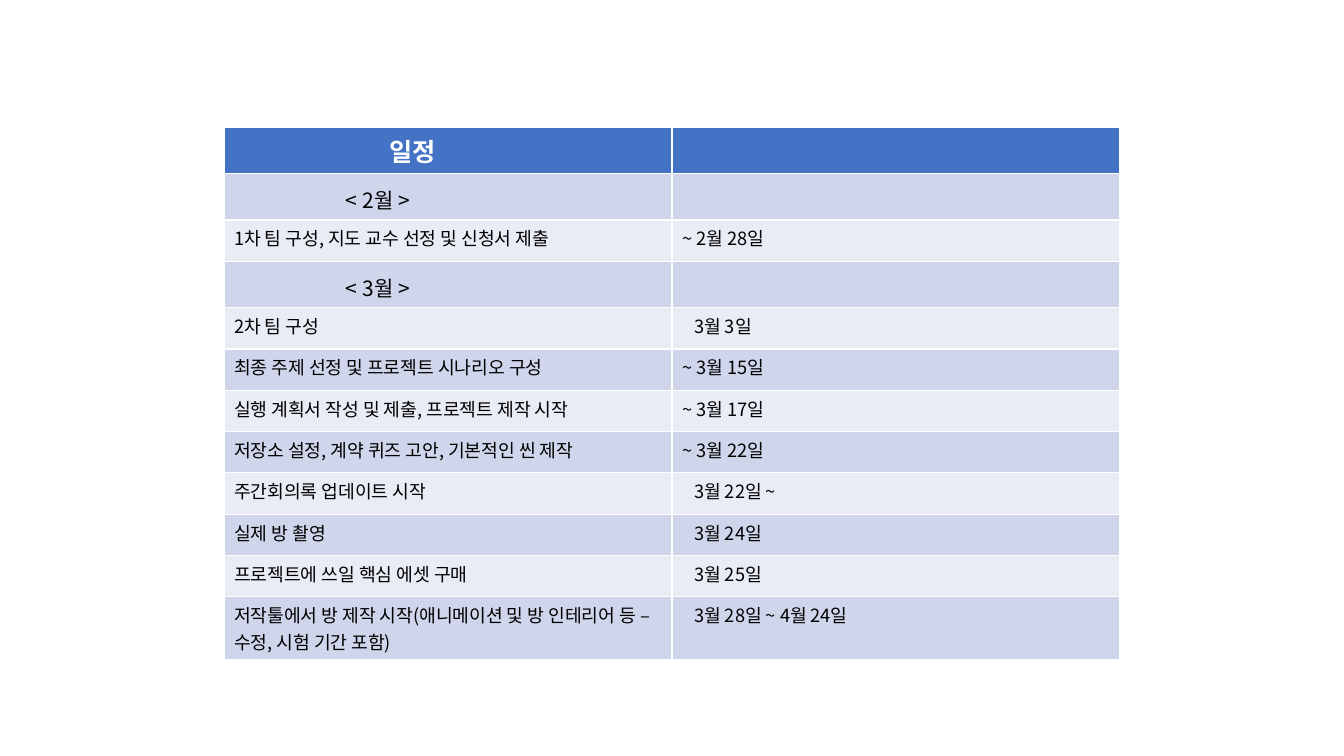
from lxml import etree
from pptx import Presentation
from pptx import util as u
from pptx.dml.color import RGBColor
from pptx.enum import text
from pptx.oxml import ns

FONT = "Noto Sans CJK KR"
WHITE = RGBColor(0xFF, 0xFF, 0xFF)
BLACK = RGBColor(0, 0, 0)
HEADER_BLUE = RGBColor(0x44, 0x72, 0xC4)
BANDS = (RGBColor(0xCF, 0xD5, 0xEA), RGBColor(0xE9, 0xEB, 0xF5))

SLIDE_WIDTH, SLIDE_HEIGHT = u.Inches(13.33), u.Inches(7.5)
TABLE_WIDTH = SLIDE_WIDTH * 2 // 3
TABLE_TOP = u.Inches(1.26)
TASK_HEIGHT, HEADING_HEIGHT = u.Inches(0.41), u.Inches(0.46)
CELL_MARGIN = 0.1
DATE_INDENT = 0.12

FORMATS = {
    "header": {"size": u.Pt(18), "bold": True},
    "month": {"size": u.Pt(15), "bold": False},
    "task": {"size": u.Pt(13), "bold": False},
}
INDENTS = {"header": 1.54, "month": 1.11, "task": 0}

SCHEDULE = [
    ("header", "일정", ""),
    ("month", "< 2월 >", ""),
    ("task", "1차 팀 구성, 지도 교수 선정 및 신청서 제출", "~ 2월 28일"),
    ("month", "< 3월 >", ""),
    ("task", "2차 팀 구성", "3월 3일"),
    ("task", "최종 주제 선정 및 프로젝트 시나리오 구성", "~ 3월 15일"),
    ("task", "실행 계획서 작성 및 제출, 프로젝트 제작 시작", "~ 3월 17일"),
    ("task", "저장소 설정, 계약 퀴즈 고안, 기본적인 씬 제작", "~ 3월 22일"),
    ("task", "주간회의록 업데이트 시작", "3월 22일 ~"),
    ("task", "실제 방 촬영", "3월 24일"),
    ("task", "프로젝트에 쓰일 핵심 에셋 구매", "3월 25일"),
    ("task", "저작툴에서 방 제작 시작(애니메이션 및 방 인테리어 등 – 수정, 시험 기간 포함)",
     "3월 28일 ~ 4월 24일"),
]


def write_cell(cell, wording, level, indent):
    """Write one formatted, indented entry into a table cell."""
    cell.margin_left = u.Inches(CELL_MARGIN + indent)
    if level == "month":
        cell.vertical_anchor = text.MSO_ANCHOR.BOTTOM
    entry = cell.text_frame.paragraphs[0].add_run()
    entry.text = wording
    for attribute, setting in FORMATS[level].items():
        setattr(entry.font, attribute, setting)
    entry.font.color.rgb = WHITE if level == "header" else BLACK
    entry.font.name = FONT
    east_asian = etree.SubElement(entry.font._element, ns.qn("a:ea"))
    east_asian.set("typeface", FONT)


def add_schedule(slide):
    """Add the schedule table with its header and banded rows."""
    left = (SLIDE_WIDTH - TABLE_WIDTH) // 2
    schedule = slide.shapes.add_table(
        len(SCHEDULE), 2, left, TABLE_TOP, TABLE_WIDTH,
        TASK_HEIGHT * len(SCHEDULE)).table
    for index, (level, activity, date) in enumerate(SCHEDULE):
        row = schedule.rows[index]
        row.height = TASK_HEIGHT if level == "task" else HEADING_HEIGHT
        band = HEADER_BLUE if level == "header" else BANDS[(index - 1) % 2]
        for cell in row.cells:
            cell.fill.solid()
            cell.fill.fore_color.rgb = band
        write_cell(row.cells[0], activity, level, INDENTS[level])
        if date:
            indent = 0 if date.startswith("~") else DATE_INDENT
            write_cell(row.cells[1], date, level, indent)


def main():
    """Build and save the schedule slide."""
    deck = Presentation()
    deck.slide_width, deck.slide_height = SLIDE_WIDTH, SLIDE_HEIGHT
    add_schedule(deck.slides.add_slide(deck.slide_layouts[6]))
    deck.save("out.pptx")


if __name__ == "__main__":
    main()
